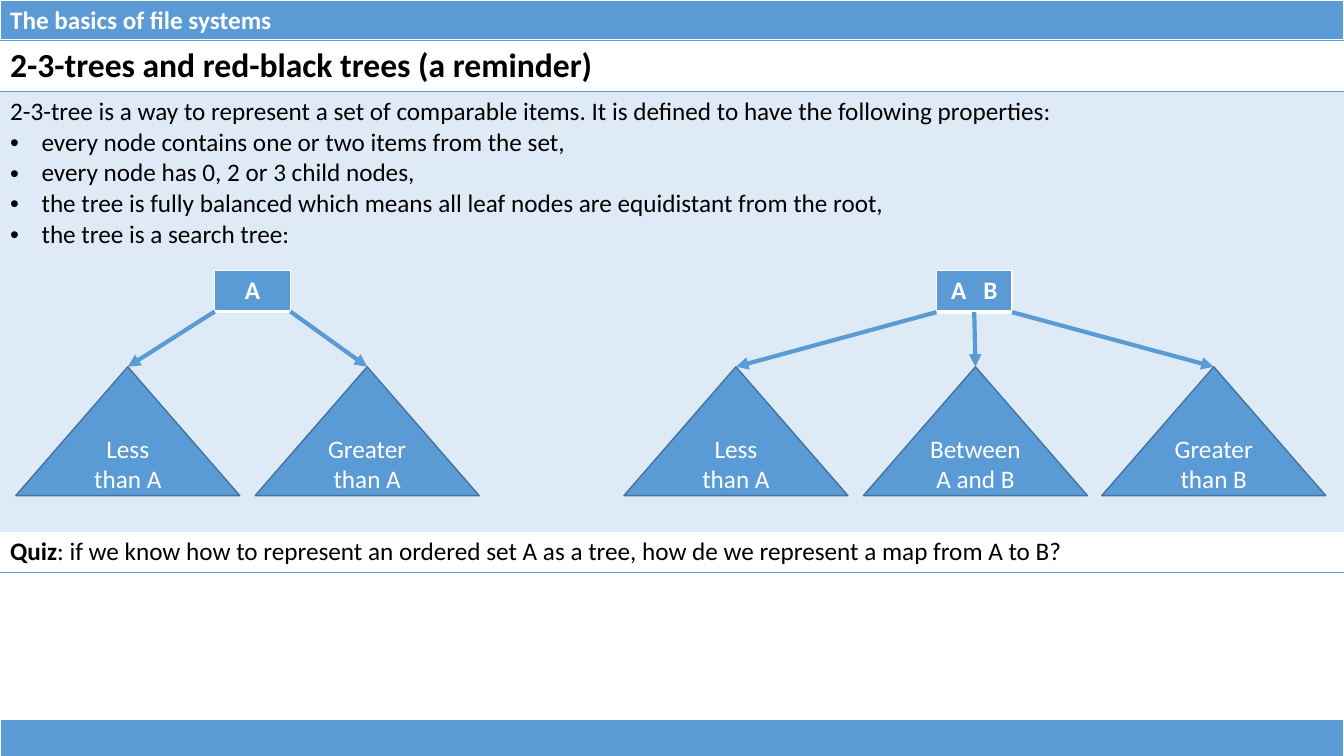
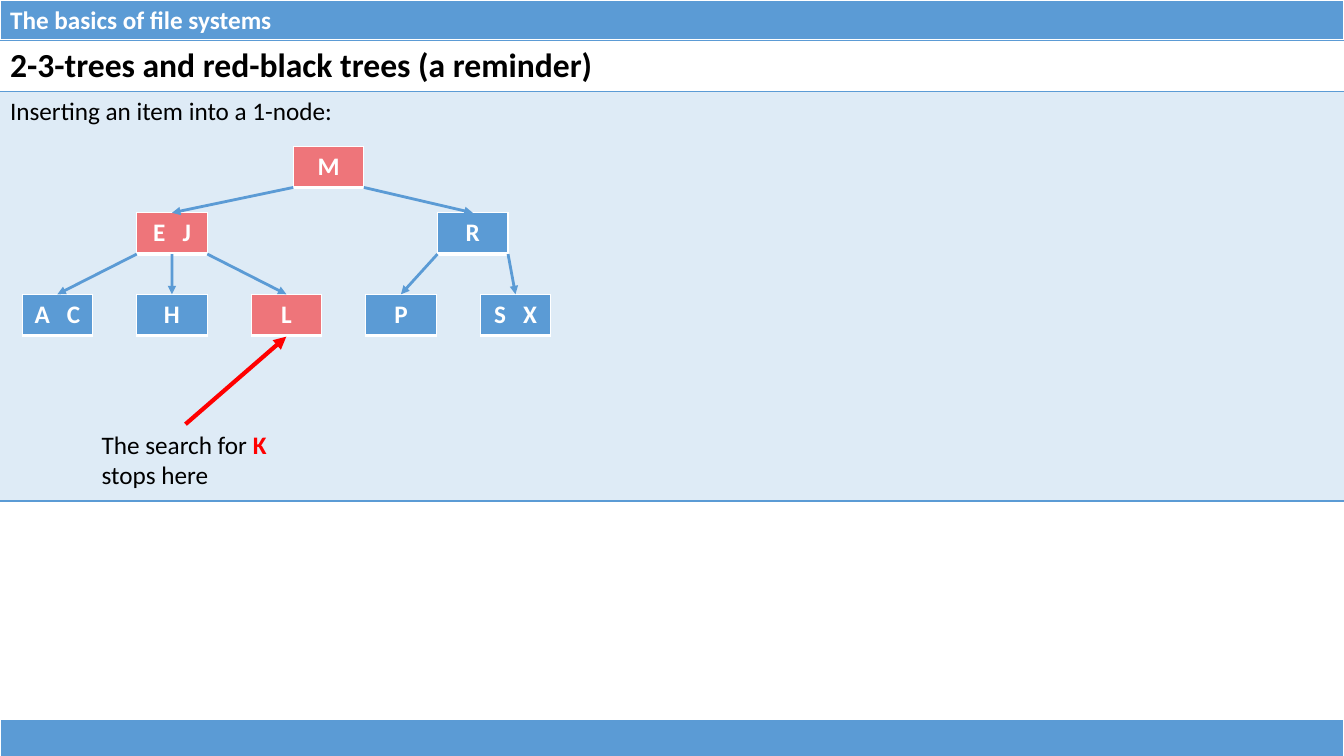
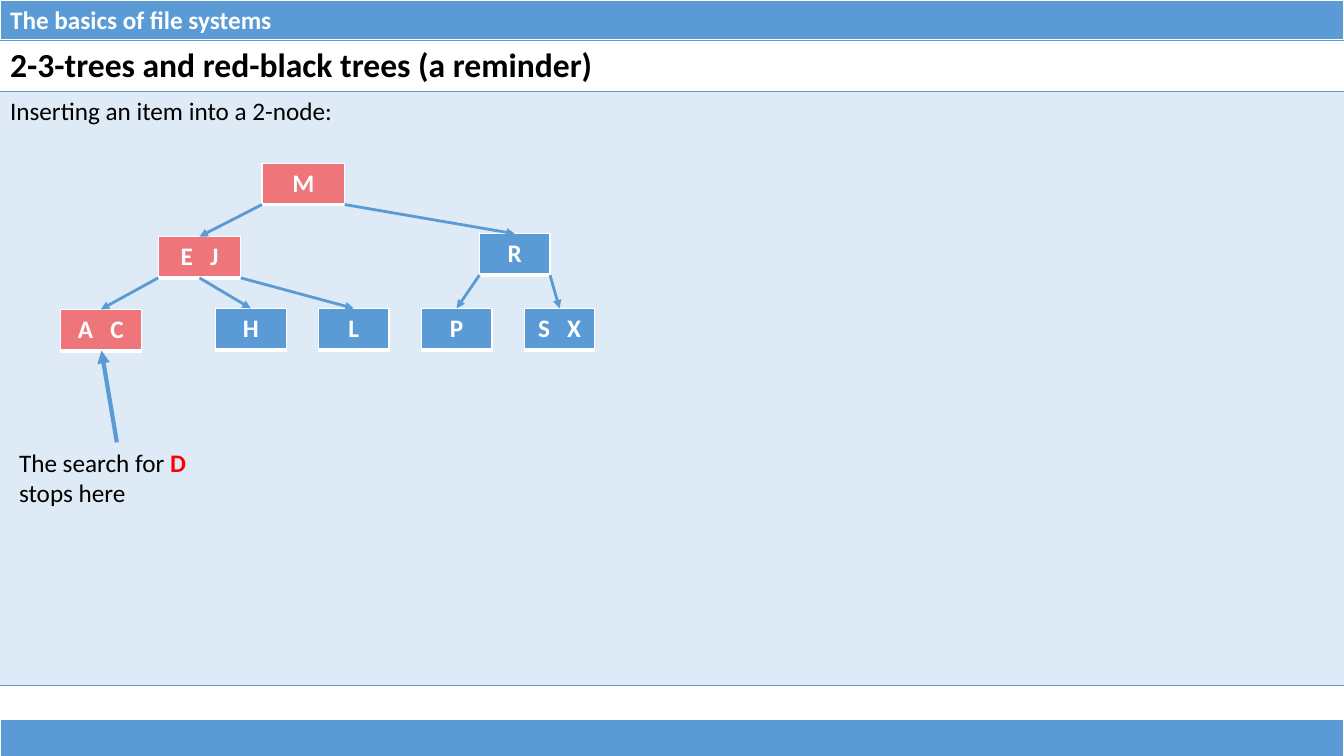
from lxml.etree import SubElement as Sub
from pptx import Presentation
from pptx.dml.color import RGBColor as RGB
from pptx.enum.shapes import MSO_CONNECTOR as LINE, MSO_SHAPE as SHAPE
from pptx.enum.text import MSO_ANCHOR as ANCHOR, PP_ALIGN as ALIGN
from pptx.oxml.ns import qn
from pptx.util import Pt

HEX = {"blue": "5B9BD5", "edge": "43739E", "red": "FF0000",
       "white": "FFFFFF", "black": "000000"}
INK = {name: RGB.from_string(code) for name, code in HEX.items()}
FONT = "Calibri"
WIDE, HIGH = 960, 540
NODE_H = 29.5
SET_W, SET_H, SET_Y = 160, 92, 262
FRAME = [("L", "white", 1), ("R", "white", 1), ("T", "white", 1), ("B", "white", 3)]
RULE = [("B", "blue", 1)]
PLAIN = "{2D5ABB26-0587-4C30-8999-92F81FD0307C}"  # table style without grid


def grid(slide, x, y, w, rows):
    """Add a one-column table; rows hold (height, fill, opacity %, edges)."""
    tall = sum(row[0] for row in rows)
    table = slide.shapes.add_table(len(rows), 1, Pt(x), Pt(y), Pt(w), Pt(tall)).table
    table.first_row = table.horz_banding = False
    table._tbl.tblPr.find(qn("a:tableStyleId")).text = PLAIN
    for i, (high, fill, alpha, edges) in enumerate(rows):
        table.rows[i].height = Pt(high)
        cell = table.cell(i, 0)
        props = cell._tc.get_or_add_tcPr()
        for side, ink, width in edges:
            line = Sub(props, qn("a:ln" + side), w=str(Pt(width)))
            Sub(Sub(line, qn("a:solidFill")), qn("a:srgbClr"), val=HEX[ink])
        if fill:
            cell.fill.solid()
            cell.fill.fore_color.rgb = INK[fill]
            tone = props.find(qn("a:solidFill")).find(qn("a:srgbClr"))
            Sub(tone, qn("a:alpha"), val=str(alpha * 1000))
        else:
            cell.fill.background()
    return [table.cell(i, 0).text_frame for i in range(len(rows))]


def arrow(slide, start, end, ink, width):
    ends = [Pt(value) for value in (*start, *end)]
    line = slide.shapes.add_connector(LINE.STRAIGHT, *ends)
    line.line.color.rgb = INK[ink]
    line.line.width = Pt(width)
    props = line._element.spPr
    Sub(props.find(qn("a:ln")), qn("a:tailEnd"), type="triangle")
    Sub(props, qn("a:effectLst"))


# Nodes are (label, left, top, width, parent); sets are (label, left, parent).
PAGES = [
    {"intro": "2-3-tree is a way to represent a set of comparable items. "
              "It is defined to have the following properties:",
     "points": ["every node contains one or two items from the set,",
                "every node has 0, 2 or 3 child nodes,",
                "the tree is fully balanced which means all leaf nodes "
                "are equidistant from the root,",
                "the tree is a search tree:"],
     "quiz": ": if we know how to represent an ordered set A as a tree, "
             "how de we represent a map from A to B?",
     "body": 314.6, "link": 3, "hot": [],
     "nodes": [("A", 153.4, 193, 54, None), ("A B", 668.9, 193.5, 54, None)],
     "sets": [("Less than A", 11.3, "A"), ("Greater than A", 182.3, "A"),
              ("Less than A", 445.7, "A B"), ("Between A and B", 616.8, "A B"),
              ("Greater than B", 787, "A B")]},
    {"intro": "Inserting an item into a 1-node:",
     "body": 292.6, "link": 2, "hot": ["M", "E J", "L"],
     "nodes": [("M", 209.5, 104.4, 50.4, None), ("E J", 97.7, 152, 50.4, "M"),
               ("R", 312.5, 152, 50.4, "M")]
              + [(name, 15.8 + 81.8 * i, 210.2, 50.4, top) for i, (name, top) in
                 enumerate([("A C", "E J"), ("H", "E J"), ("L", "E J"),
                            ("P", "R"), ("S X", "R")])],
     "note": ("K", 65.5, 303, (132.5, 303), (204.5, 240.5), "red")},
    {"intro": "Inserting an item into a 2-node:",
     "body": 424.6, "link": 2, "hot": ["M", "E J", "A C"],
     "nodes": [("M", 187.2, 116.6, 59, None), ("E J", 113, 169, 59, "M"),
               ("R", 342.5, 167, 50.4, "M"), ("A C", 43.2, 221, 57.6, "E J")]
              + [(name, 154 + 73.5 * i, 220.3, 50.4, top) for i, (name, top) in
                 enumerate([("H", "E J"), ("L", "E J"), ("P", "R"), ("S X", "R")])],
     "note": ("D", 6.5, 316, (83.5, 316), (72.5, 250.5), "blue")},
]

deck = Presentation()
deck.slide_width, deck.slide_height = Pt(WIDE), Pt(HIGH)

for page in PAGES:
    slide = deck.slides.add_slide(deck.slide_layouts[6])
    texts = []  # (paragraph, size, ink, bold)

    # Bands, title and body
    [band] = grid(slide, 0, 0, WIDE, [(29.2, "blue", 100, FRAME)])
    band.text = "The basics of file systems"
    texts.append((band.paragraphs[0], 18, "white", True))
    grid(slide, 0, 514, WIDE, [(29.2, "blue", 100, FRAME)])

    quiz = page.get("quiz")
    rows = [(36.5, None, 0, [("T", "blue", 1)] + RULE),
            (page["body"], "blue", 20, [] if quiz else RULE)]
    if quiz:
        rows.append((29.2, None, 0, RULE))
    title, body, *rest = grid(slide, 0, 28.8, WIDE, rows)
    title.text = "2-3-trees and red-black trees (a reminder)"
    texts.append((title.paragraphs[0], 24, "black", True))
    body.text = page["intro"]
    texts.append((body.paragraphs[0], 18, "black", False))
    for point in page.get("points", []):
        para = body.add_paragraph()
        para.text = point
        props = para._p.get_or_add_pPr()
        props.set("marL", str(Pt(22.5)))
        props.set("indent", str(Pt(-22.5)))
        Sub(props, qn("a:buFont"), typeface="Arial")
        Sub(props, qn("a:buChar"), char="•")
        texts.append((para, 18, "black", False))
    for frame in rest:
        para = frame.paragraphs[0]
        for part, bold in (("Quiz", True), (quiz, False)):
            run = para.add_run()
            run.text = part
            run.font.bold = bold
        texts.append((para, 18, "black", None))

    # Tree nodes
    for label, x, y, w, top in page["nodes"]:
        look = ("red", 50) if label in page["hot"] else ("blue", 100)
        [frame] = grid(slide, x, y, w, [(NODE_H, *look, FRAME)])
        para = frame.paragraphs[0]
        para.alignment = ALIGN.CENTER
        for char in label:
            run = para.add_run()
            run.text = char
            if char == " ":
                run._r.get_or_add_rPr().set("spc", "810")  # widens the gap
        texts.append((para, 18, "white", True))

    # Subtrees
    spots = list(page["nodes"])
    for label, x, top in page.get("sets", []):
        spots.append((label, x, SET_Y, SET_W, top))
        shape = slide.shapes.add_shape(SHAPE.ISOSCELES_TRIANGLE, Pt(x), Pt(SET_Y),
                                       Pt(SET_W), Pt(SET_H))
        shape.shadow.inherit = False
        shape.fill.solid()
        shape.fill.fore_color.rgb = INK["blue"]
        shape.line.color.rgb = INK["edge"]
        shape.line.width = Pt(1)
        frame = shape.text_frame
        frame.word_wrap = True
        frame.vertical_anchor = ANCHOR.MIDDLE
        frame.text = label
        frame.paragraphs[0].alignment = ALIGN.CENTER
        texts.append((frame.paragraphs[0], 18, "white", False))

    # Links leave at even steps along the parent's lower edge
    for label, x, y, w, top in page["nodes"]:
        kids = [spot for spot in spots if spot[4] == label]
        for i, (name, left, high, wide, up) in enumerate(kids):
            start = (x + w * i / (len(kids) - 1), y + NODE_H)
            arrow(slide, start, (left + wide / 2, high), "blue", page["link"])

    # Search note
    if "note" in page:
        key, x, y, start, end, ink = page["note"]
        frame = slide.shapes.add_textbox(Pt(x), Pt(y), Pt(134), Pt(51)).text_frame
        frame.word_wrap = False
        para = frame.paragraphs[0]
        for part, tone, bold in (("The search for ", "black", False),
                                 (key, "red", True), ("stops here", "black", False)):
            if part == "stops here":
                para.add_line_break()
            run = para.add_run()
            run.text = part
            run.font.color.rgb = INK[tone]
            run.font.bold = bold
        texts.append((para, 18, "black", None))
        arrow(slide, start, end, ink, 3)

    for para, size, ink, bold in texts:
        font = para.font
        font.name, font.size, font.bold = FONT, Pt(size), bold
        font.color.rgb = INK[ink]

deck.save("out.pptx")
